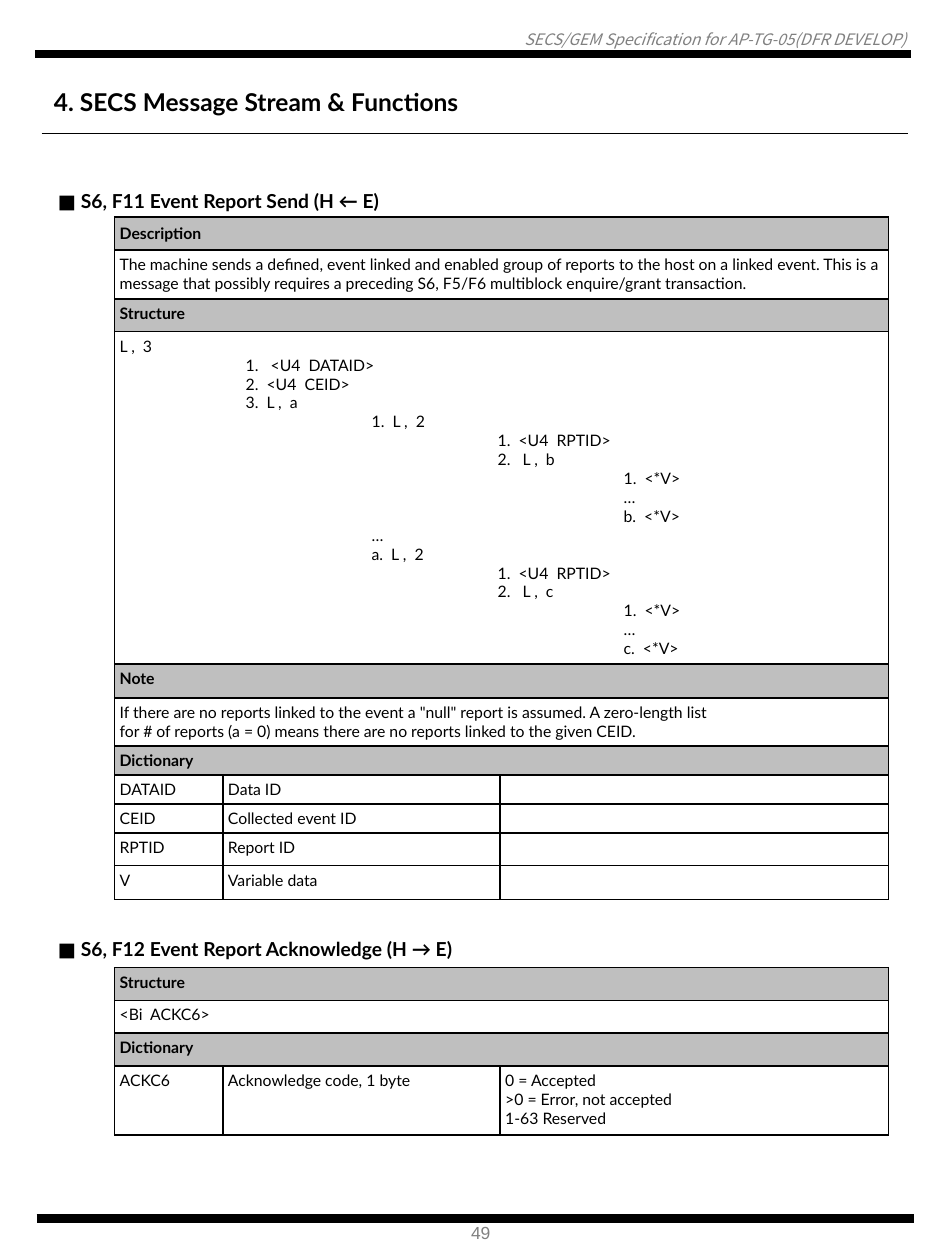
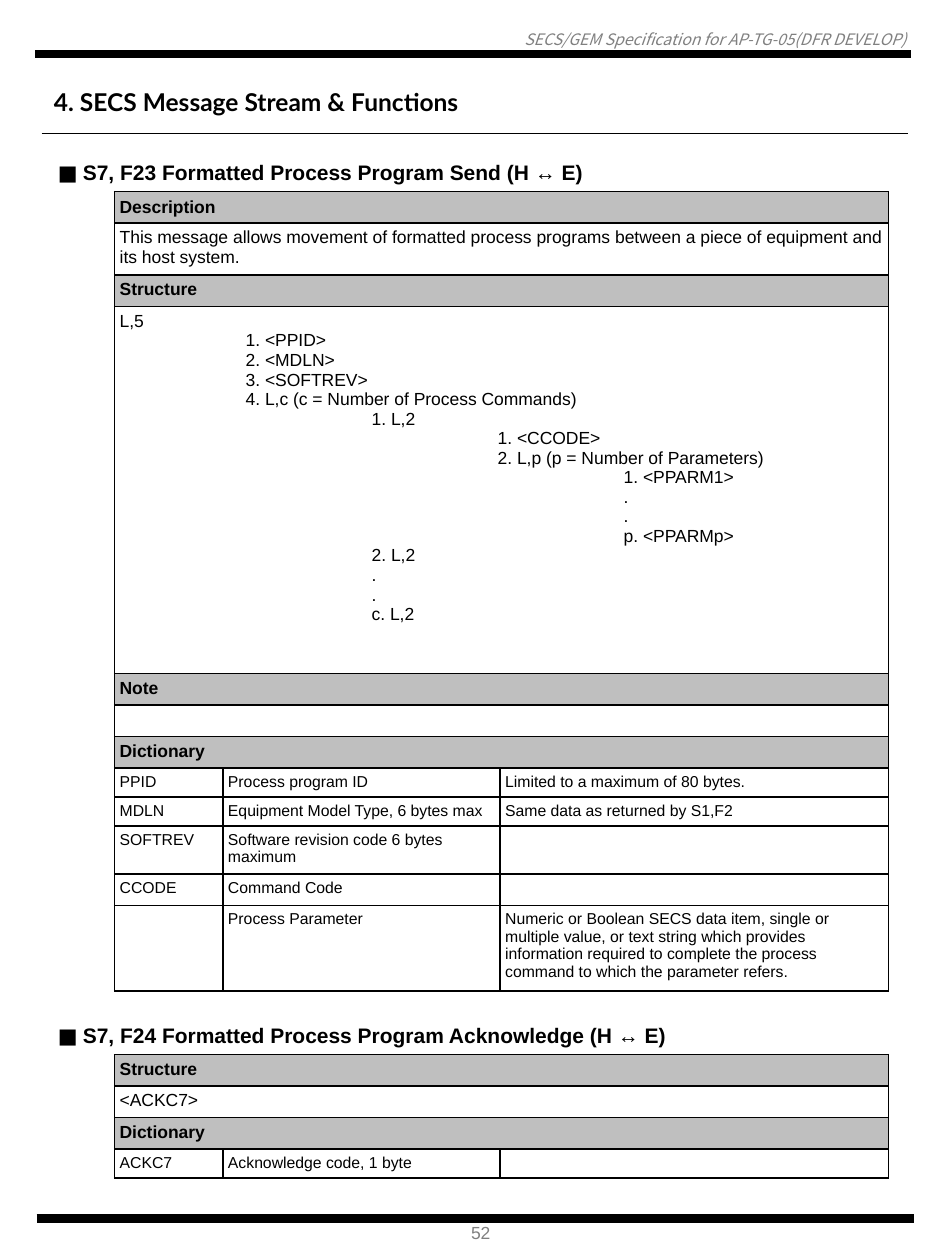
from dataclasses import dataclass
from lxml import etree
from pptx import Presentation
from pptx import util as u
from pptx.dml.color import RGBColor
from pptx.enum import shapes, text
from pptx.oxml.ns import qn


@dataclass(frozen=True)
class Theme:
    black: str = "000000"
    white: str = "FFFFFF"
    grey: str = "808080"
    band: str = "BFBFBF"
    title_font: str = "Lato"
    header_font: str = "Noto Sans CJK KR"
    page_font: str = "Arial"
    title: float = 14
    header: float = 9
    page: float = 10
    bar: float = 4.75
    rule: float = 0.75
    edge: float = 1
    gutter_edge: float = 0.75


TH = Theme()

# Content shared by the slides
HEADER = "SECS/GEM Specification for AP-TG-05(DFR DEVELOP)"
TITLE = "4. SECS Message Stream & Functions"
COLS = (0.49, 0.86, 2.2, 3.08)
TABLE_LEFT = 0.42
CELL_MARGIN = 0.04

# Each row is (kind, height, content); a tree line is (level, text).
# gutter gives the first and last row of the merged cell at the left.
EVENT_REPORT = dict(
    top=1.46, gutter=(6, 9), rows=[
        ("head", 0.25, "S6, F11 Event Report Send (H ← E)"),
        ("band", 0.26, "Description"),
        ("text", 0.39, ["The machine sends a defined, event linked and enabled group of reports "
                        "to the host on a linked event. This is a message that possibly requires "
                        "a preceding S6, F5/F6 multiblock enquire/grant transaction."]),
        ("band", 0.26, "Structure"),
        ("tree", 2.63, [
            (0, "L ,  3"),
            (1, "1.   <U4  DATAID>"),
            (1, "2.  <U4  CEID>"),
            (1, "3.  L ,  a"),
            (2, "1.  L ,  2"),
            (3, "1.  <U4  RPTID>"),
            (3, "2.   L ,  b"),
            (4, "1.  <*V>"),
            (4, "…"),
            (4, "b.  <*V>"),
            (2, "…"),
            (2, "a.  L ,  2"),
            (3, "1.  <U4  RPTID>"),
            (3, "2.   L ,  c"),
            (4, "1.  <*V>"),
            (4, "…"),
            (4, "c.  <*V>")]),
        ("band", 0.27, "Note"),
        ("text", 0.37, ['If there are no reports linked to the event a "null" report is assumed. '
                        "A zero-length list",
                        "for # of reports (a = 0) means there are no reports linked to the "
                        "given CEID."]),
        ("band", 0.23, "Dictionary"),
        ("term", 0.23, ["DATAID", "Data ID", ""]),
        ("term", 0.23, ["CEID", "Collected event ID", ""]),
        ("term", 0.26, ["RPTID", "Report ID", ""]),
        ("term", 0.27, ["V", "Variable data", ""]),
    ])

EVENT_ACK = dict(
    top=7.38, gutter=(3, 4), rows=[
        ("head", 0.3, "S6, F12 Event Report Acknowledge (H → E)"),
        ("band", 0.26, "Structure"),
        ("text", 0.26, ["<Bi  ACKC6>"]),
        ("band", 0.26, "Dictionary"),
        ("term", 0.55, ["ACKC6", "Acknowledge code, 1 byte",
                        "0 = Accepted\n>0 = Error, not accepted\n1-63 Reserved"]),
    ])

PROGRAM_SEND = dict(
    top=1.22, gutter=(6, 9), rows=[
        ("head", 0.3, "S7, F23 Formatted Process Program Send (H ↔ E)"),
        ("band", 0.25, "Description"),
        ("text", 0.41, ["This message allows movement of formatted process programs between "
                        "a piece of equipment and its host system."]),
        ("band", 0.25, "Structure"),
        ("tree", 2.91, [
            (0, "L,5"),
            (1, "1. <PPID>"),
            (1, "2. <MDLN>"),
            (1, "3. <SOFTREV>"),
            (1, "4. L,c (c = Number of Process Commands)"),
            (2, "1. L,2"),
            (3, "1. <CCODE>"),
            (3, "2. L,p (p = Number of Parameters)"),
            (4, "1. <PPARM1>"),
            (4, "."),
            (4, "."),
            (4, "p. <PPARMp>"),
            (2, "2. L,2"),
            (2, "."),
            (2, "."),
            (2, "c. L,2")]),
        ("band", 0.25, "Note"),
        ("text", 0.25, [""]),
        ("band", 0.25, "Dictionary"),
        ("term", 0.23, ["PPID", "Process program ID", "Limited to a maximum of 80 bytes."]),
        ("term", 0.23, ["MDLN", "Equipment Model Type, 6 bytes max",
                        "Same data as returned by S1,F2"]),
        ("term", 0.38, ["SOFTREV", "Software revision code 6 bytes maximum", ""]),
        ("term", 0.25, ["CCODE", "Command Code", ""]),
        ("term", 0.68, ["", "Process Parameter",
                        "Numeric or Boolean SECS data item, single or multiple value, or text "
                        "string which provides\ninformation required to complete the process "
                        "command to which the parameter refers."]),
    ])

PROGRAM_ACK = dict(
    top=8.07, gutter=(3, 4), rows=[
        ("head", 0.3, "S7, F24 Formatted Process Program Acknowledge (H ↔ E)"),
        ("band", 0.25, "Structure"),
        ("text", 0.25, ["<ACKC7>"]),
        ("band", 0.25, "Dictionary"),
        ("term", 0.23, ["ACKC7", "Acknowledge code, 1 byte", ""]),
    ])

SLIDES = [
    dict(page="49", font="Lato", tables=[EVENT_REPORT, EVENT_ACK],
         sizes=dict(head=11, band=9, text=9, tree=9, term=9)),
    dict(page="52", font="Arial", tables=[PROGRAM_SEND, PROGRAM_ACK],
         sizes=dict(head=12, band=10, text=10, tree=10, term=9)),
]


# Text and lines
def add_run(p, words, font, size, color=TH.black, bold=False, italic=False):
    r = p.add_run()
    r.text = words
    f = r.font
    f.name, f.size, f.bold, f.italic = font, u.Pt(size), bold, italic
    f.color.rgb = RGBColor.from_string(color)


def add_text(s, box, wrap=False, inset=None):
    sp = s.shapes.add_textbox(*map(u.Inches, box))
    tf = sp.text_frame
    tf.word_wrap = wrap
    if inset is not None:
        tf.margin_left = tf.margin_right = tf.margin_top = tf.margin_bottom = u.Inches(inset)
    return tf.paragraphs[0]


def add_line(s, x1, x2, y, width):
    line = s.shapes.add_connector(shapes.MSO_CONNECTOR.STRAIGHT,
                                  *map(u.Inches, (x1, y, x2, y)))
    line.line.color.rgb = RGBColor.from_string(TH.black)
    line.line.width = u.Pt(width)
    etree.SubElement(line._element.spPr, qn("a:effectLst"))


def add_frame(s, page):
    p = add_text(s, (0.05, 0.24, 7.14, 0.15), wrap=True, inset=0)
    p.alignment = text.PP_ALIGN.RIGHT
    add_run(p, HEADER, TH.header_font, TH.header, TH.grey, italic=True)
    add_line(s, 0.28, 7.23, 0.43, TH.bar)
    add_line(s, 0.29, 7.25, 9.67, TH.bar)
    add_run(add_text(s, (3.64, 9.65, 0.37, 0.27)), page, TH.page_font, TH.page, TH.grey)
    add_run(add_text(s, (0.33, 0.64, 3.86, 0.34)), TITLE, TH.title_font, TH.title, bold=True)
    add_line(s, 0.33, 7.21, 1.06, TH.rule)


# Table cells
def set_borders(cell, row, col):
    """Black grid, with white edges round the heading and the left gutter."""
    pr = cell._tc.get_or_add_tcPr()
    for i, side in enumerate("LRTB"):
        if row == 0:
            dark = side == "B" and col > 0
        else:
            dark = col > 0 or side == "R"
        ln = etree.Element(qn("a:ln" + side))
        ln.set("w", str(u.Pt(TH.edge if dark else TH.gutter_edge)))
        fill = etree.SubElement(ln, qn("a:solidFill"))
        etree.SubElement(fill, qn("a:srgbClr")).set("val", TH.black if dark else TH.white)
        pr.insert(i, ln)


def fill_cell(cell, lines, font, size, bold=False):
    """Write (level, text) lines, one inch of indent to a level."""
    for i, (level, words) in enumerate(lines):
        tf = cell.text_frame
        p = tf.paragraphs[0] if i == 0 else tf.add_paragraph()
        if level:
            p._p.get_or_add_pPr().set("marL", str(u.Inches(level)))
        if words:
            add_run(p, words, font, size, bold=bold)
        else:
            end = etree.SubElement(p._p, qn("a:endParaRPr"))
            end.set("sz", str(int(size * 100)))


def add_message(s, table, font, sizes):
    rows = table["rows"]
    frame = s.shapes.add_table(
        len(rows), len(COLS), u.Inches(TABLE_LEFT), u.Inches(table["top"]),
        u.Inches(sum(COLS)), u.Inches(sum(height for _, height, _ in rows)))
    t = frame.table
    t.first_row = t.horz_banding = False
    for c, width in enumerate(COLS):
        t.columns[c].width = u.Inches(width)

    for r, (kind, height, content) in enumerate(rows):
        t.rows[r].height = u.Inches(height)
        size = sizes[kind]
        for c in range(len(COLS)):
            cell = t.cell(r, c)
            cell.margin_left = cell.margin_right = u.Inches(CELL_MARGIN)
            cell.margin_top = cell.margin_bottom = u.Inches(CELL_MARGIN)
            if kind == "band" and c > 0:
                cell.fill.solid()
                cell.fill.fore_color.rgb = RGBColor.from_string(TH.band)
            else:
                cell.fill.background()
            set_borders(cell, r, c)
            # Cells filled below start as one empty line at the row's size
            if c == 0 and kind != "head":
                fill_cell(cell, [(0, "")], font, size)

        if kind == "head":
            t.cell(r, 0).merge(t.cell(r, 3))
            p = t.cell(r, 0).text_frame.paragraphs[0]
            add_run(p, "■ ", TH.title_font, size, bold=True)
            add_run(p, content, font, size, bold=True)
        elif kind == "term":
            for c, words in enumerate(content, 1):
                fill_cell(t.cell(r, c), [(0, w) for w in words.split("\n")], font, size)
        else:
            t.cell(r, 1).merge(t.cell(r, 3))
            lines = {"band": lambda: [(0, content)],
                     "text": lambda: [(0, w) for w in content],
                     "tree": lambda: content}[kind]()
            fill_cell(t.cell(r, 1), lines, font, size, bold=kind == "band")
        if kind == "head" or (kind == "band" and content == "Description"):
            t.cell(r, 0 if kind == "head" else 1).vertical_anchor = text.MSO_ANCHOR.MIDDLE

    first, last = table["gutter"]
    t.cell(first, 0).merge(t.cell(last, 0))
    # Merging gathers the empty lines, so keep only the first
    for p in t.cell(first, 0).text_frame.paragraphs[1:]:
        p._p.getparent().remove(p._p)


def main():
    prs = Presentation()
    prs.slide_width, prs.slide_height = u.Inches(7.5), u.Inches(10)
    for page in SLIDES:
        s = prs.slides.add_slide(prs.slide_layouts[6])
        add_frame(s, page["page"])
        for table in page["tables"]:
            add_message(s, table, page["font"], page["sizes"])
    prs.save("out.pptx")


if __name__ == "__main__":
    main()
